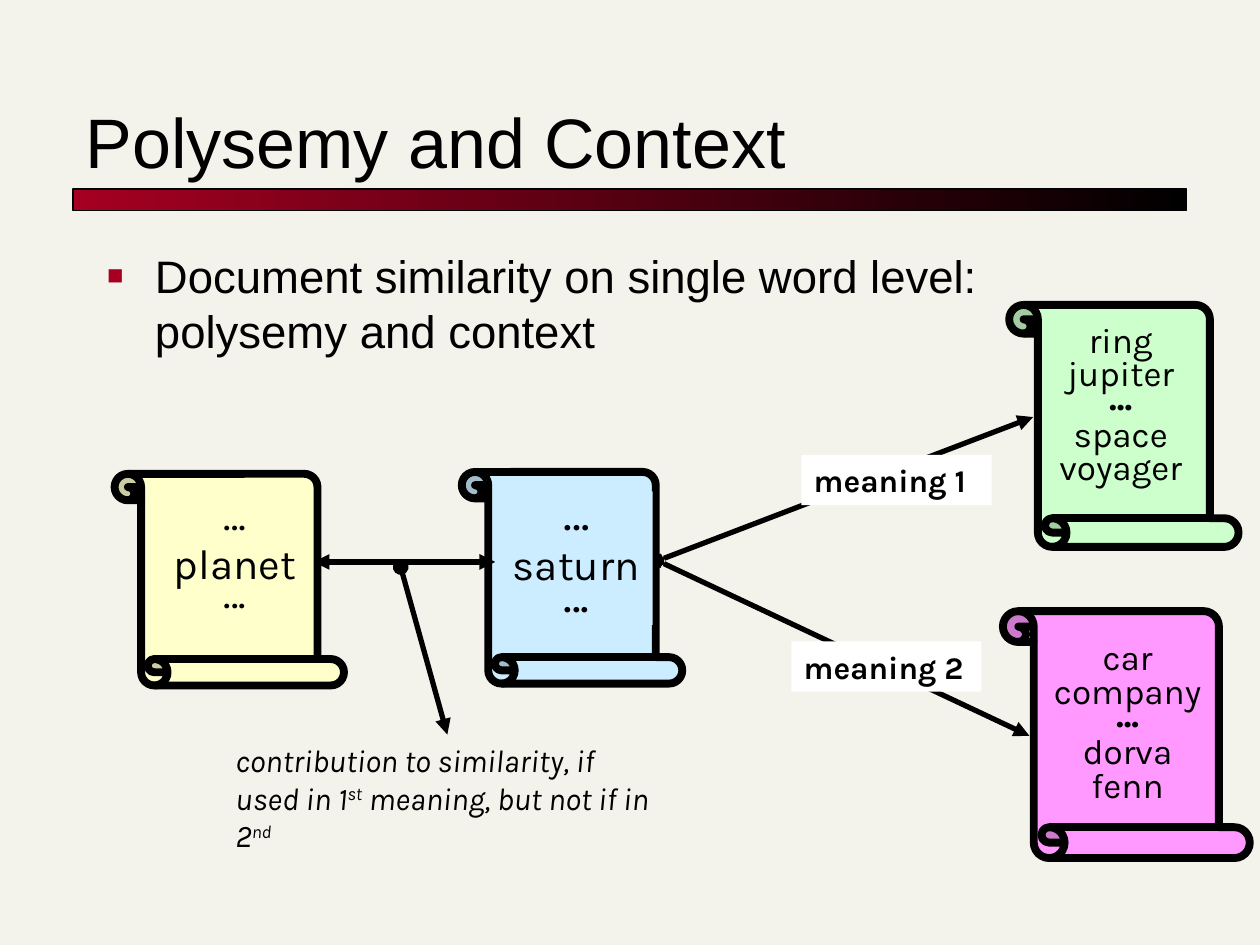
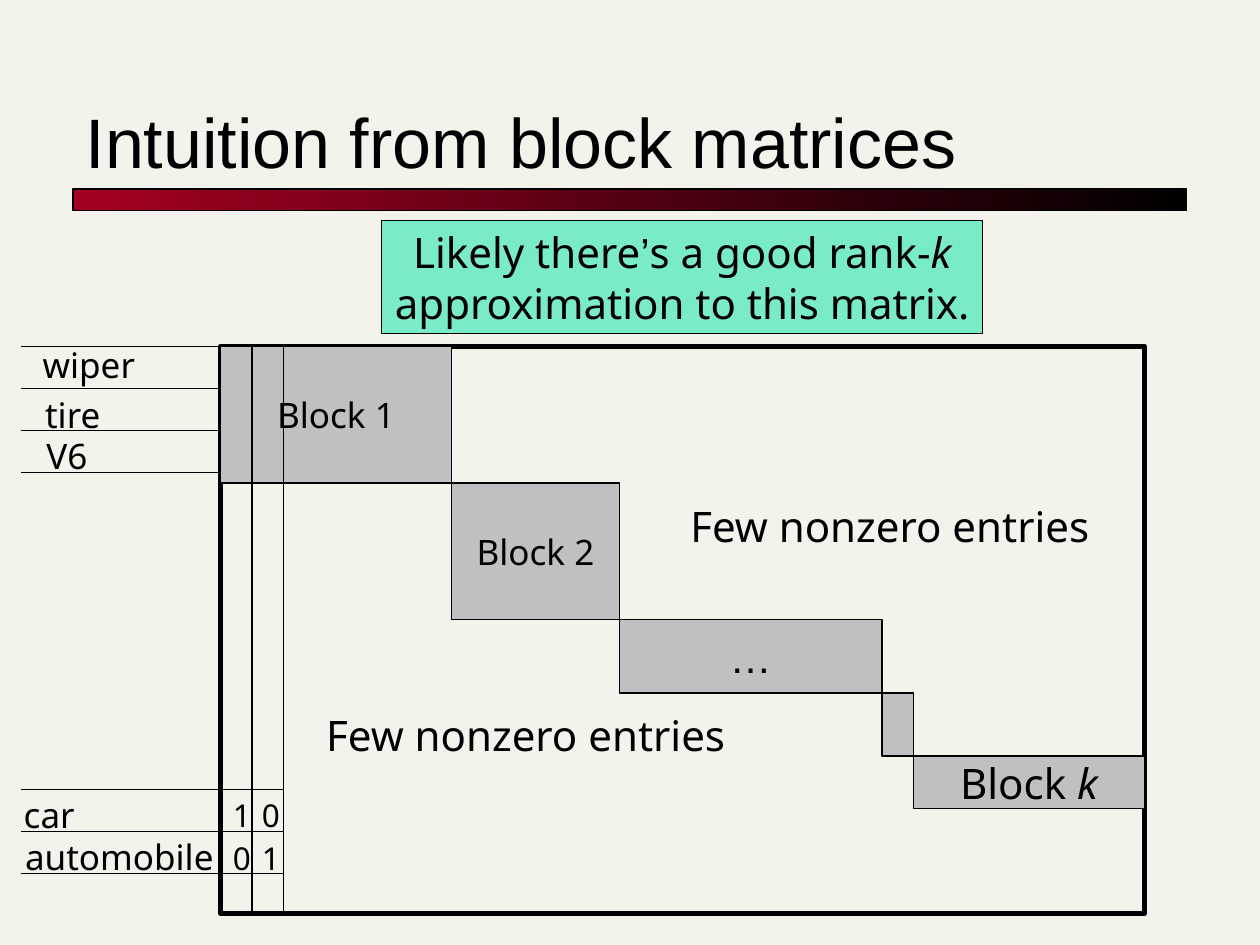
from itertools import accumulate
from lxml.etree import SubElement
from pptx import Presentation
from pptx.dml.color import RGBColor
from pptx.enum.shapes import MSO_CONNECTOR, MSO_SHAPE
from pptx.enum.text import MSO_ANCHOR, MSO_AUTO_SIZE, PP_ALIGN
from pptx.oxml.ns import qn
from pptx.util import Inches, Pt

BACKGROUND, INK, ACCENT = "F4F3EB", "000000", "A50021"
WHITE, GRAY, MINT, BLUE = "FFFFFF", "C0C0C0", "00E4A8", "CCECFF"
TITLE_FONT, SCROLL_FONT, MATRIX_FONT = "Arial", "Karla", "Noto Sans"
THIN, THICK, SCROLL_LINE = 0.74, 3, 4.5

TITLES = ["Polysemy and Context", "Intuition from block matrices"]
BULLET = "Document similarity on single word level: polysemy and context"


def word_list(*words):
    return [dict(runs=[(word, {})], size=16 if word == "•••" else 20, spacing=0.8)
            for word in words]


def single_word(word, dot_size):
    return [dict(runs=[("…", {})], size=dot_size, spacing=0.7),
            dict(runs=[(word, {})], size=24),
            dict(runs=[("...", {})], size=dot_size, spacing=0.5)]


MEANING_SCROLLS = [
    ((7.96, 4.85, 1.96, 1.96), "FF99FF", (8.25, 5.06, 1.4, 1.38),
     word_list("car", "company", "•••", "dorva", "fenn"), None),
    ((7.96, 2.47, 1.92, 1.82), "CCFFCC", (8.27, 2.54, 1.25, 1.38),
     word_list("ring", "jupiter", "•••", "space", "voyager"), None),
]
TERM_SCROLLS = [
    ((3.7, 3.71, 1.68, 1.75), BLUE, (3.97, 3.9, 1.21, 1.06), single_word("saturn", 28), BLUE),
    ((0.98, 3.69, 1.68, 1.82), "FFFFCC", (1.27, 3.94, 1.19, 0.98), single_word("planet", 24), None),
]
MEANINGS = [("meaning 2", (8.17, 5.84), (6.28, 5.09)), ("meaning 1", (8.2, 3.31), (6.36, 3.61))]
MEANING_START = (5.22, 4.45)
SIMILARITY_LINKS = [((2.49, 4.46), (3.93, 4.46), "triangle", "triangle"),
                    ((3.55, 5.83), (3.18, 4.5), "triangle", "oval")]
SUPERSCRIPT = {"baseline": 30000}
CONTRIBUTION = [("contribution to similarity, if used in 1", {}), ("st", SUPERSCRIPT),
                (" meaning, but not if in 2", {}), ("nd", SUPERSCRIPT)]

UNIT = 1 / 12
MATRIX = (21, 33, 88, 54)
BLOCKS = [
    (22, 13, [("Block 1", {})], 20, MATRIX_FONT),
    (16, 13, [("Block 2", {})], 20, MATRIX_FONT),
    (25, 7, [("…", {})], 24, TITLE_FONT),
    (3, 6, [], 24, MATRIX_FONT),
    (22, 5, [("Block ", {}), ("k", {"italic": True})], 24, MATRIX_FONT),
]
TERMS = [("wiper", 0.24, 2.68, 0.96), ("tire", 0.26, 3.07, 0.67), ("V6", 0.27, 3.4, 0.55),
         ("car", 0.09, 6.25, 0.63), ("automobile", 0.1, 6.58, 1.72)]
COUNTS = [["1", "0"], ["0", "1"]]
SPARSE_AREAS = [(2.49, 5.58), (5.38, 3.92)]
CONCLUSION = [
    [("Likely there", {}), ("’", {"name": TITLE_FONT}), ("s a good rank-", {}),
     ("k", {"italic": True})],
    [("approximation to this matrix.", {})],
]


def color(value):
    return RGBColor.from_string(value)


def inches(values):
    return [Inches(value) for value in values]


def place(shape, at):
    shape.left, shape.top, shape.width, shape.height = inches(at)


def style_font(font, name, size):
    font.name, font.size = name, Pt(size)
    font.color.rgb = color(INK)


def add_shape(slide, kind, at, fill=None, line=None):
    shape = slide.shapes.add_shape(kind, *inches(at))
    shape.shadow.inherit = False
    if fill:
        shape.fill.solid()
        shape.fill.fore_color.rgb = color(fill)
    else:
        shape.fill.background()
    if line:
        shape.line.color.rgb = color(INK)
        shape.line.width = Pt(line)
    else:
        shape.line.fill.background()
    return shape


def write(shape, paragraphs, font=MATRIX_FONT, align=PP_ALIGN.LEFT, anchor=MSO_ANCHOR.TOP,
          wrap=False, grow=True, bold=None, italic=None):
    frame = shape.text_frame
    frame.word_wrap = wrap
    frame.vertical_anchor = anchor
    frame.auto_size = MSO_AUTO_SIZE.SHAPE_TO_FIT_TEXT if grow else MSO_AUTO_SIZE.NONE
    for index, content in enumerate(paragraphs):
        paragraph = frame.add_paragraph() if index else frame.paragraphs[0]
        paragraph.alignment = align
        paragraph.line_spacing = content.get("spacing")
        style_font(paragraph.font, font, content["size"])
        paragraph.font.bold, paragraph.font.italic = bold, italic
        for text, style in content["runs"]:
            run = paragraph.add_run()
            run.text = text
            run.font.name = style.get("name")
            run.font.italic = style.get("italic")
            if "baseline" in style:
                run._r.get_or_add_rPr().set("baseline", str(style["baseline"]))


def add_text(slide, at, text, size, font=MATRIX_FONT, **options):
    runs = [(text, {})] if isinstance(text, str) else text
    box = slide.shapes.add_textbox(*inches(at))
    write(box, [dict(runs=runs, size=size)], font, **options)
    return box


def add_line(slide, start, end, width=THIN, head=None, tail=None):
    connector = slide.shapes.add_connector(MSO_CONNECTOR.STRAIGHT, *inches(start + end))
    connector.line.color.rgb = color(INK)
    connector.line.width = Pt(width)
    properties = connector.element.spPr
    for tag, kind in (("a:headEnd", head), ("a:tailEnd", tail)):
        if kind:
            SubElement(properties.find(qn("a:ln")), qn(tag), type=kind)
    SubElement(properties, qn("a:effectLst"))


def add_scroll(slide, at, fill, text_at, paragraphs, text_fill):
    scroll = add_shape(slide, MSO_SHAPE.HORIZONTAL_SCROLL, at, fill, SCROLL_LINE)
    scroll.rotation = 270
    label = add_shape(slide, MSO_SHAPE.RECTANGLE, text_at, text_fill)
    write(label, paragraphs, SCROLL_FONT, PP_ALIGN.CENTER)


def add_slide(presentation, layout, title):
    slide = presentation.slides.add_slide(presentation.slide_layouts[layout])
    shape = slide.shapes.title
    place(shape, (0.58, 0.42, 8.83, 1.08))
    write(shape, [dict(runs=[(title, {})], size=40)], TITLE_FONT,
          anchor=MSO_ANCHOR.BOTTOM, wrap=True, grow=False)
    return slide


def set_up_master(presentation, slide):
    master = presentation.slide_master
    master.background.fill.solid()
    master.background.fill.fore_color.rgb = color(BACKGROUND)
    bar = add_shape(slide, MSO_SHAPE.RECTANGLE, (0.58, 1.5, 8.84, 0.17), INK, THIN)
    bar.fill.gradient()
    bar.fill.gradient_angle = 0
    for stop, value in zip(bar.fill.gradient_stops, (ACCENT, INK)):
        stop.color.rgb = color(value)
    master.shapes.element.append(bar.element)


def add_bullet(slide):
    body = slide.placeholders[1]
    place(body, (0.75, 1.92, 8.5, 5.33))
    write(body, [dict(runs=[(BULLET, {})], size=26)], TITLE_FONT, wrap=True, grow=False)
    properties = body.text_frame.paragraphs[0]._p.get_or_add_pPr()
    properties.set("marL", str(Inches(0.38)))
    properties.set("indent", str(-Inches(0.38)))
    marks = [SubElement(properties, qn("a:buClr")),
             SubElement(properties, qn("a:buSzPct"), val="60000"),
             SubElement(properties, qn("a:buFont"), typeface=TITLE_FONT),
             SubElement(properties, qn("a:buChar"), char="■")]
    SubElement(marks[0], qn("a:srgbClr"), val=ACCENT)
    default_font = properties.find(qn("a:defRPr"))
    for mark in marks:
        default_font.addprevious(mark)


def build_polysemy(slide):
    add_bullet(slide)
    for scroll in MEANING_SCROLLS:
        add_scroll(slide, *scroll)
    for text, end, corner in MEANINGS:
        add_line(slide, MEANING_START, end, THICK, "diamond", "triangle")
        label = add_shape(slide, MSO_SHAPE.RECTANGLE, corner + (1.51, 0.4), WHITE)
        write(label, [dict(runs=[(text, {})], size=18)], SCROLL_FONT, bold=True)
    for scroll in TERM_SCROLLS:
        add_scroll(slide, *scroll)
    for start, end, head, tail in SIMILARITY_LINKS:
        add_line(slide, start, end, THICK, head, tail)
    add_text(slide, (1.77, 5.83, 3.56, 1), CONTRIBUTION, 18, SCROLL_FONT, wrap=True, italic=True)


def build_matrix(slide):
    left, top, width, height = MATRIX
    add_shape(slide, MSO_SHAPE.RECTANGLE, [UNIT * value for value in MATRIX], line=THICK)
    lefts = accumulate((block[0] for block in BLOCKS), initial=left)
    tops = accumulate((block[1] for block in BLOCKS), initial=top)
    for x, y, (columns, rows, runs, size, font) in zip(lefts, tops, BLOCKS):
        at = [UNIT * value for value in (x, y, columns, rows)]
        block = add_shape(slide, MSO_SHAPE.RECTANGLE, at, GRAY, THIN)
        if runs:
            write(block, [dict(runs=runs, size=size)], font, PP_ALIGN.CENTER,
                  MSO_ANCHOR.MIDDLE, grow=False)
    for corner in SPARSE_AREAS:
        add_text(slide, corner + (3.38, 0.5), "Few nonzero entries", 24)

    for first, count, right in ((top, 4, left), (75.2, 3, left + 6)):
        for row in range(count):
            y = UNIT * (first + 4 * row)
            add_line(slide, (UNIT * right, y), (UNIT * 2, y))
    for text, x, y, text_width in TERMS:
        add_text(slide, (x, y, text_width, 0.44), text, 20)
    for column in (1, 2):
        x = UNIT * (left + 3 * column)
        add_line(slide, (x, UNIT * top), (x, UNIT * (top + height)))
    for row, values in enumerate(COUNTS):
        for column, value in enumerate(values):
            at = (1.75 + 0.23 * column, 6.27 + 0.34 * row, 0.34, 0.4)
            add_text(slide, at, value, 18)

    note = add_shape(slide, MSO_SHAPE.RECTANGLE, (3.03, 1.75, 4.77, 0.9), MINT, THIN)
    fill_color = note.element.spPr.find(qn("a:solidFill")).find(qn("a:srgbClr"))
    SubElement(fill_color, qn("a:alpha"), val="50000")
    write(note, [dict(runs=runs, size=24) for runs in CONCLUSION],
          align=PP_ALIGN.CENTER, anchor=MSO_ANCHOR.MIDDLE)


presentation = Presentation()
presentation.slide_width, presentation.slide_height = Inches(10), Inches(7.5)
polysemy = add_slide(presentation, 1, TITLES[0])
matrix = add_slide(presentation, 5, TITLES[1])
set_up_master(presentation, polysemy)
build_polysemy(polysemy)
build_matrix(matrix)
presentation.save("out.pptx")
